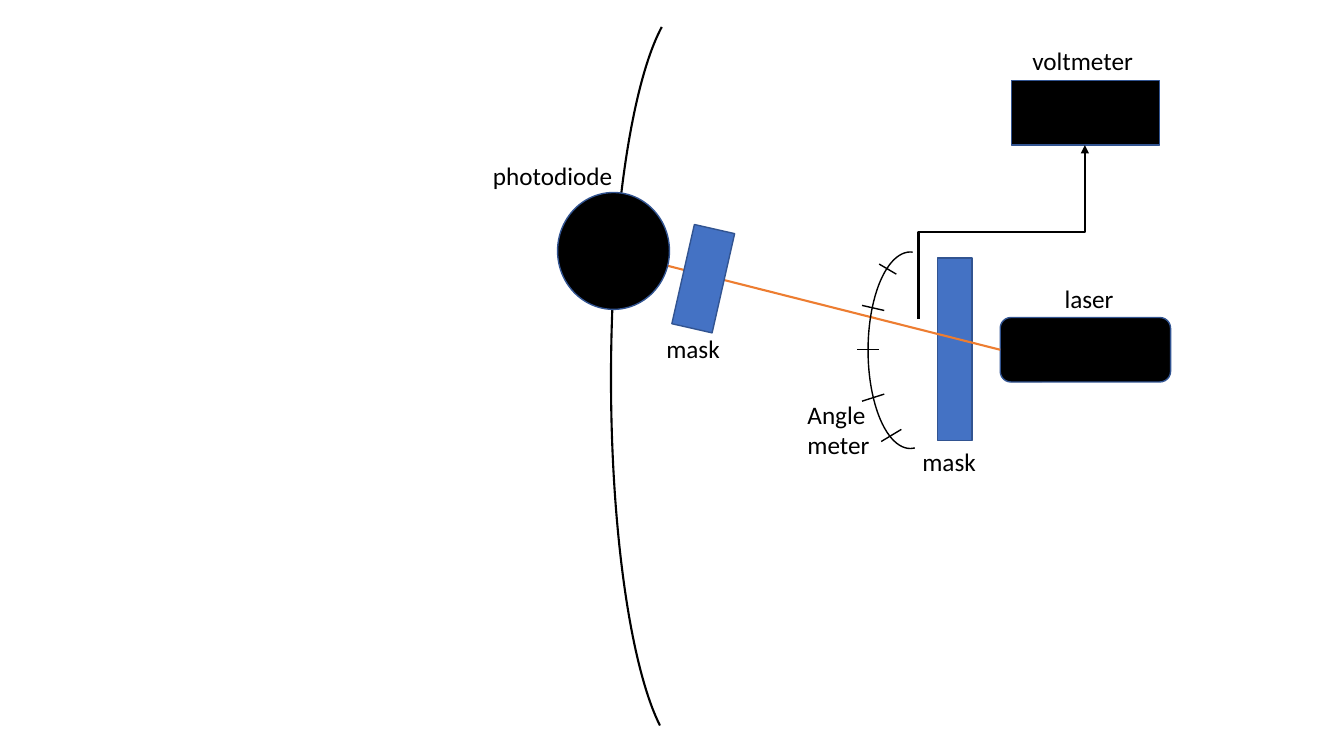
import lxml.etree
import pptx
import pptx.dml.color
import pptx.enum.shapes
import pptx.enum.text
import pptx.oxml.ns
import pptx.util
from pptx.util import Inches

SHAPES = pptx.enum.shapes.MSO_SHAPE
CONNECTORS = pptx.enum.shapes.MSO_CONNECTOR
COLORS = {
    "black": "000000",
    "mask": "4472C4",
    "outline": "325491",
    "beam": "ED7D31",
}


class Diagram:
    """Draws the parts of the optical setup on one slide."""

    font_name = "Calibri"
    font_size = 18

    def __init__(self, slide):
        self.slide = slide

    def color(self, name):
        return pptx.dml.color.RGBColor.from_string(COLORS[name])

    def stroke(self, item, color, width):
        item.line.color.rgb = self.color(color)
        item.line.width = pptx.util.Pt(width)

    def body(self, kind, box, fill="black", rotation=0):
        part = self.slide.shapes.add_shape(kind, *map(Inches, box))
        part.shadow.inherit = False
        part.rotation = rotation
        part.fill.solid()
        part.fill.fore_color.rgb = self.color(fill)
        self.stroke(part, "outline", 1)
        return part

    def arc(self, box, angles, width, rotation=0):
        curve = self.slide.shapes.add_shape(SHAPES.ARC, *map(Inches, box))
        curve.shadow.inherit = False
        curve.rotation = rotation
        curve.adjustments[0], curve.adjustments[1] = angles
        curve.fill.background()
        self.stroke(curve, "black", width)

    def line(self, start, end, color="black", width=1, kind=CONNECTORS.STRAIGHT):
        link = self.slide.shapes.add_connector(kind, *map(Inches, start + end))
        self.stroke(link, color, width)
        lxml.etree.SubElement(link._element.spPr, pptx.oxml.ns.qn("a:effectLst"))
        return link

    def elbow_arrow(self, start, end, width):
        """Elbow that leaves upward, runs right and enters upward."""
        # Swap the sides of the box, since it is turned by a quarter
        center_x, center_y = (start[0] + end[0]) / 2, (start[1] + end[1]) / 2
        half_w, half_h = abs(end[1] - start[1]) / 2, abs(end[0] - start[0]) / 2
        wire = self.line(
            (center_x + half_w, center_y + half_h),
            (center_x - half_w, center_y - half_h),
            width=width, kind=CONNECTORS.ELBOW,
        )
        properties = wire._element.spPr
        properties.find(pptx.oxml.ns.qn("a:xfrm")).set("rot", "5400000")
        outline = properties.find(pptx.oxml.ns.qn("a:ln"))
        lxml.etree.SubElement(outline, pptx.oxml.ns.qn("a:tailEnd"), type="triangle")

    def label(self, text, box):
        frame = self.slide.shapes.add_textbox(*map(Inches, box)).text_frame
        frame.word_wrap = True
        frame.auto_size = pptx.enum.text.MSO_AUTO_SIZE.SHAPE_TO_FIT_TEXT
        frame.text = text
        font = frame.paragraphs[0].font
        font.name = self.font_name
        font.size = pptx.util.Pt(self.font_size)
        font.color.rgb = self.color("black")


def main():
    deck = pptx.Presentation()
    deck.slide_width, deck.slide_height = Inches(13.33), Inches(7.5)
    diagram = Diagram(deck.slides.add_slide(deck.slide_layouts[6]))

    # Photodiode track, laser and its mask
    diagram.arc((6.06, 0, 1.6, 7.5), (165.13, 51.08), 1.5, rotation=180)
    laser = diagram.body(SHAPES.ROUNDED_RECTANGLE, (9.92, 3.15, 1.69, 0.64))
    diagram.body(SHAPES.RECTANGLE, (9.3, 2.56, 0.34, 1.81), "mask")

    # Beam, covered at its far end by the photodiode and second mask
    beam = diagram.line((6.08, 2.5), (9.92, 3.47), "beam", 1.5)
    beam.end_connect(laser, 1)
    diagram.body(SHAPES.OVAL, (5.53, 1.91, 1.11, 1.16))
    diagram.body(SHAPES.RECTANGLE, (6.77, 2.26, 0.41, 1.01), "mask", 12.8)

    # Angle meter scale, voltmeter and wire
    diagram.arc((8.61, 2.5, 0.84, 1.95), (52.45, 162.75), 1)
    diagram.body(SHAPES.RECTANGLE, (10.03, 0.8, 1.47, 0.64))
    diagram.elbow_arrow((9.11, 3.16), (10.76, 1.44), 1.5)

    # Labels
    for text, box in (
        ("voltmeter", (10.14, 0.4, 1.36, 0.4)),
        ("photodiode", (4.79, 1.54, 1.41, 0.4)),
        ("mask", (9.05, 4.38, 0.84, 0.4)),
        ("mask", (6.51, 3.26, 0.92, 0.4)),
        ("laser", (10.46, 2.76, 0.72, 0.4)),
        ("Angle meter", (7.91, 3.91, 0.92, 0.71)),
    ):
        diagram.label(text, box)

    # Angle meter ticks
    for start, end in (
        ((8.5, 3.47), (8.72, 3.47)),
        ((8.55, 3.03), (8.77, 3.08)),
        ((8.55, 3.98), (8.77, 3.91)),
        ((8.74, 4.38), (8.94, 4.26)),
        ((8.72, 2.62), (8.89, 2.72)),
    ):
        diagram.line(start, end)

    deck.save("out.pptx")


if __name__ == "__main__":
    main()
